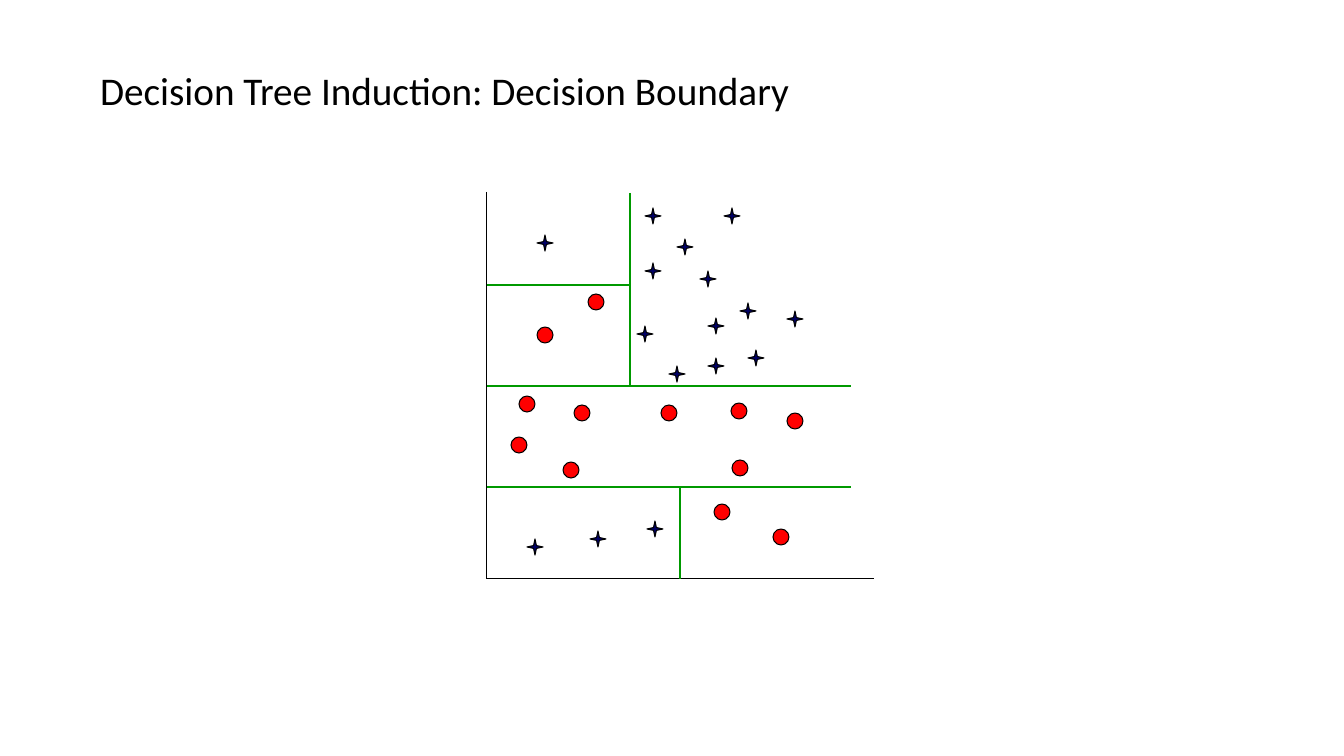
from lxml import etree
from pptx import Presentation
from pptx.dml.color import RGBColor
from pptx.enum.shapes import MSO_CONNECTOR, MSO_SHAPE
from pptx.enum.text import MSO_ANCHOR, PP_ALIGN
from pptx.oxml.ns import qn
from pptx.util import Pt

EMU_PER_PX = 914400 / 100.8
BLACK = RGBColor(0x00, 0x00, 0x00)
NAVY = RGBColor(0x00, 0x00, 0x66)
RED = RGBColor(0xFF, 0x00, 0x00)
GREEN = RGBColor(0x00, 0x99, 0x00)

MARKER = 16  # marker width and height

# Marker centres, measured from the plot's top left corner
STARS = [(245, 24), (166, 24), (166, 79), (198, 55), (221, 87), (48, 355),
         (158, 142), (229, 134), (190, 182), (261, 119), (269, 166),
         (308, 127), (168, 337), (111, 347), (58, 51), (229, 174)]
CIRCLES = [(32, 253), (40, 212), (95, 221), (109, 110), (84, 278), (252, 219),
           (253, 276), (308, 229), (235, 320), (294, 345), (182, 221), (58, 143)]


def px(length):
    return round(length * EMU_PER_PX)


def add_line(slide, start, end, color, width):
    line = slide.shapes.add_connector(
        MSO_CONNECTOR.STRAIGHT, *(px(v) for v in (*start, *end)))
    line.line.color.rgb = color
    line.line.width = Pt(width)
    etree.SubElement(line._element.spPr, qn("a:effectLst"))


def add_marker(slide, kind, center, color):
    x, y = center
    marker = slide.shapes.add_shape(
        kind, px(x - MARKER / 2), px(y - MARKER / 2), px(MARKER), px(MARKER))
    marker.shadow.inherit = False
    marker.fill.solid()
    marker.fill.fore_color.rgb = color
    marker.line.color.rgb = BLACK
    marker.line.width = Pt(0.75)
    if kind == MSO_SHAPE.STAR_4_POINT:
        marker.adjustments[0] = 0.125


def build_title(slide, left, top, width, height):
    title = slide.shapes.title
    title.left, title.top, title.width, title.height = map(
        px, (left, top, width, height))
    frame = title.text_frame
    frame.text = "Decision Tree Induction: Decision Boundary"
    frame.vertical_anchor = MSO_ANCHOR.MIDDLE
    paragraph = frame.paragraphs[0]
    paragraph.alignment = PP_ALIGN.LEFT
    paragraph.line_spacing = 0.9
    font = paragraph.runs[0].font
    font.name, font.size, font.color.rgb = "Calibri", Pt(28), BLACK


def build_plot(slide, left, top, width, height):
    def at(x, y):
        return left + x, top + y

    # Axes
    add_line(slide, at(0, 0), at(0, height), BLACK, 0.75)
    add_line(slide, at(0, height), at(width, height), BLACK, 0.75)

    # Samples of the two classes
    for kind, color, centers in ((MSO_SHAPE.STAR_4_POINT, NAVY, STARS),
                                 (MSO_SHAPE.OVAL, RED, CIRCLES)):
        for center in centers:
            add_marker(slide, kind, at(*center), color)

    # Decision boundaries
    upper, middle, lower = 93, 194, 295
    top_split, bottom_split, right_end = 143, 193, 364
    for start, end in (((0, middle), (right_end, middle)),
                       ((top_split, 1), (top_split, middle)),
                       ((0, upper), (top_split, upper)),
                       ((0, lower), (right_end, lower)),
                       ((bottom_split, lower), (bottom_split, height))):
        add_line(slide, at(*start), at(*end), GREEN, 1.5)


prs = Presentation()
prs.slide_width, prs.slide_height = px(1344), px(756)
slide = prs.slides.add_slide(prs.slide_layouts[5])
build_title(slide, 90, 42, 1165, 101)
build_plot(slide, 487, 192, 387, 387)
prs.save("out.pptx")
